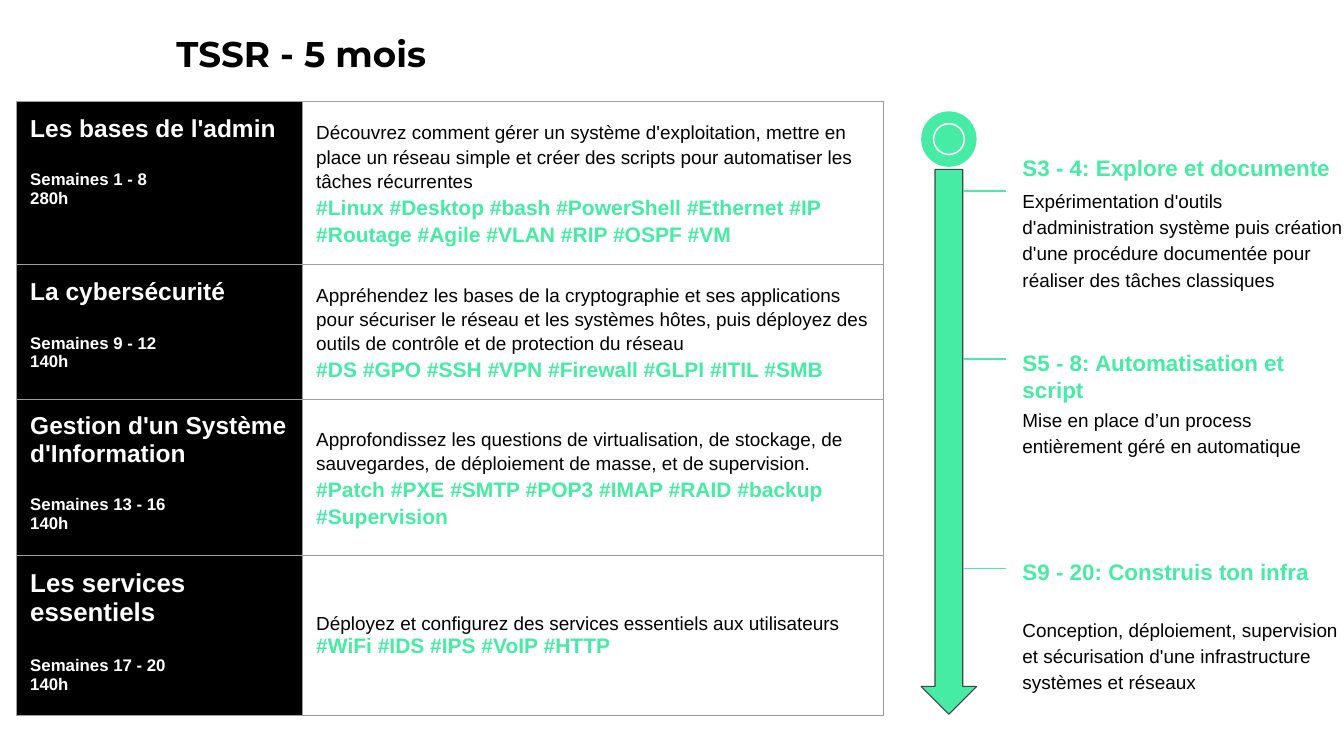
from lxml.etree import SubElement
from pptx import Presentation
from pptx.dml.color import RGBColor
from pptx.enum.shapes import MSO_CONNECTOR, MSO_SHAPE
from pptx.enum.text import MSO_ANCHOR, MSO_AUTO_SIZE
from pptx.oxml.ns import qn
from pptx.util import Inches, Pt

BLACK = RGBColor(0x00, 0x00, 0x00)
WHITE = RGBColor(0xFF, 0xFF, 0xFF)
MINT = RGBColor(0x46, 0xEC, 0xA4)
OUTLINE = RGBColor(0x42, 0x42, 0x42)
BORDER = RGBColor(0x9E, 0x9E, 0x9E)

SLIDE_W, SLIDE_H = 26.67, 15
PADDING = 0.27

# heading, heading size, weeks, hours, description, line spacing, tags, row height
MODULES = [
    ("Les bases de l'admin", 35, "Semaines 1 - 8", "280h",
     "Découvrez comment gérer un système d'exploitation, mettre en place un réseau "
     "simple et créer des scripts pour automatiser les tâches récurrentes", 1.15,
     "#Linux #Desktop #bash #PowerShell #Ethernet #IP #Routage #Agile #VLAN #RIP #OSPF #VM",
     3.24),
    ("La cybersécurité", 35, "Semaines 9 - 12", "140h",
     "Appréhendez les bases de la cryptographie et ses applications pour sécuriser le "
     "réseau et les systèmes hôtes, puis déployez des outils de contrôle et de "
     "protection du réseau", 1.15,
     "#DS #GPO #SSH #VPN #Firewall #GLPI #ITIL #SMB", 2.66),
    ("Gestion d'un Système d'Information", 35, "Semaines 13 - 16", "140h",
     "Approfondissez les questions de virtualisation, de stockage, de sauvegardes, de "
     "déploiement de masse, et de supervision.", 1.15,
     "#Patch #PXE #SMTP #POP3 #IMAP #RAID #backup #Supervision", 3.1),
    ("Les services essentiels", 37, "Semaines 17 - 20", "140h",
     "Déployez et configurez des services essentiels aux utilisateurs", None,
     "#WiFi #IDS #IPS #VoIP #HTTP", 3.17),
]

# heading, project, then tops of tick, heading and project below the timeline's top
MILESTONES = [
    ("S3 - 4: Explore et documente",
     "Expérimentation d'outils d'administration système puis création d'une procédure "
     "documentée pour réaliser des tâches classiques", 1.58, 0.58, 1.22),
    ("S5 - 8: Automatisation et script",
     "Mise en place d’un process entièrement géré en automatique", 4.91, 4.44, 5.56),
    ("S9 - 20: Construis ton infra",
     "Conception, déploiement, supervision et sécurisation d'une infrastructure "
     "systèmes et réseaux", 9.07, 8.6, 9.72),
]


def style(font, size, color, bold=False, name="Arial"):
    font.name, font.size, font.bold = name, Pt(size), bold
    font.color.rgb = color


def set_insets(holder, inset):
    for side in ("left", "right", "top", "bottom"):
        setattr(holder, f"margin_{side}", Inches(inset))


def add_text(slide, box, text, size, color, bold=False, name="Arial",
             inset=PADDING, anchor=MSO_ANCHOR.TOP, spacing=None):
    frame = slide.shapes.add_textbox(*map(Inches, box)).text_frame
    frame.word_wrap = True
    frame.auto_size = MSO_AUTO_SIZE.SHAPE_TO_FIT_TEXT
    frame.vertical_anchor = anchor
    set_insets(frame, inset)
    paragraph = frame.paragraphs[0]
    paragraph.text = text
    paragraph.line_spacing = spacing
    style(paragraph.font, size, color, bold, name)


def add_preset(shapes, preset, box, line=None, line_width=0):
    shape = shapes.add_shape(preset, *map(Inches, box))
    shape.shadow.inherit = False
    shape.fill.solid()
    shape.fill.fore_color.rgb = MINT
    if line is None:
        shape.line.fill.background()
    else:
        shape.line.color.rgb = line
        shape.line.width = Pt(line_width)


def finish_cell(cell, fill=None):
    """Set insets, borders and fill; the borders must precede the fill in the XML."""
    set_insets(cell, PADDING)
    properties = cell._tc.get_or_add_tcPr()
    for side in ("lnL", "lnR", "lnT", "lnB"):
        edge = SubElement(properties, qn(f"a:{side}"), w=str(Pt(0.75)))
        solid = SubElement(edge, qn("a:solidFill"))
        SubElement(solid, qn("a:srgbClr"), val=str(BORDER))
    if fill is None:
        cell.fill.background()
    else:
        cell.fill.solid()
        cell.fill.fore_color.rgb = fill


def fill_module_cell(cell, heading, heading_size, weeks, hours):
    frame = cell.text_frame
    frame.text = "\n".join((heading, weeks, hours))
    for paragraph, size in zip(frame.paragraphs, (heading_size, 24, 24)):
        style(paragraph.font, size, WHITE, True)
    frame.paragraphs[1].space_before = Pt(heading_size * 1.15)
    finish_cell(cell, BLACK)


def fill_content_cell(cell, description, spacing, tags):
    paragraph = cell.text_frame.paragraphs[0]
    paragraph.line_spacing = spacing
    summary = paragraph.add_run()
    summary.text = description
    style(summary.font, 27, BLACK)
    paragraph.add_line_break()
    hashtags = paragraph.add_run()
    hashtags.text = tags
    style(hashtags.font, 30, MINT, True)
    cell.vertical_anchor = MSO_ANCHOR.MIDDLE
    finish_cell(cell)


def add_programme(slide, left, top, width):
    heights = [module[-1] for module in MODULES]
    table = slide.shapes.add_table(
        len(MODULES), 2, *map(Inches, (left, top, width, sum(heights)))).table
    table.first_row = table.horz_banding = False
    for column, share in zip(table.columns, (0.33, 0.67)):
        column.width = Inches(width * share)
    for index, module in enumerate(MODULES):
        heading, size, weeks, hours, description, spacing, tags, height = module
        table.rows[index].height = Inches(height)
        fill_module_cell(table.cell(index, 0), heading, size, weeks, hours)
        fill_content_cell(table.cell(index, 1), description, spacing, tags)


def add_tick(slide, left, right, y):
    tick = slide.shapes.add_connector(
        MSO_CONNECTOR.STRAIGHT, *map(Inches, (left, y, right, y)))
    tick.line.color.rgb = MINT
    tick.line.width = Pt(2.25)
    SubElement(tick._element.spPr, qn("a:effectLst"))


def add_timeline(slide, left, top, width, height):
    arrow_width, ring = 1.1, 0.61
    arrow_top = top + 1.15
    add_preset(slide.shapes, MSO_SHAPE.DOWN_ARROW,
               (left, arrow_top, arrow_width, top + height - arrow_top), OUTLINE, 1.5)
    start = slide.shapes.add_group_shape().shapes
    inset = (arrow_width - ring) / 2
    add_preset(start, MSO_SHAPE.OVAL, (left, top, arrow_width, arrow_width))
    add_preset(start, MSO_SHAPE.OVAL, (left + inset, top + inset, ring, ring), WHITE, 2.25)

    shaft_edge = left + arrow_width * 0.75
    text_left = left + 1.74
    text_width = width - 1.74
    for heading, project, tick_y, heading_y, project_y in MILESTONES:
        add_tick(slide, shaft_edge, text_left - 0.05, top + tick_y)
        add_text(slide, (text_left, top + heading_y, text_width - 0.3, 1.08),
                 heading, 32, MINT, True)
        add_text(slide, (text_left, top + project_y, text_width, 2.04),
                 project, 27, BLACK, spacing=1.15)


def main():
    presentation = Presentation()
    presentation.slide_width = Inches(SLIDE_W)
    presentation.slide_height = Inches(SLIDE_H)
    slide = presentation.slides.add_slide(presentation.slide_layouts[6])
    add_text(slide, (3.44, 0.58, 13.22, 0.97), "TSSR - 5 mois", 51, BLACK, True,
             "Montserrat", inset=0.06, anchor=MSO_ANCHOR.MIDDLE)
    add_programme(slide, 0.33, 2.01, 17.2)
    add_timeline(slide, 18.28, 2.21, 8.76, 11.96)
    presentation.save("out.pptx")


if __name__ == "__main__":
    main()
